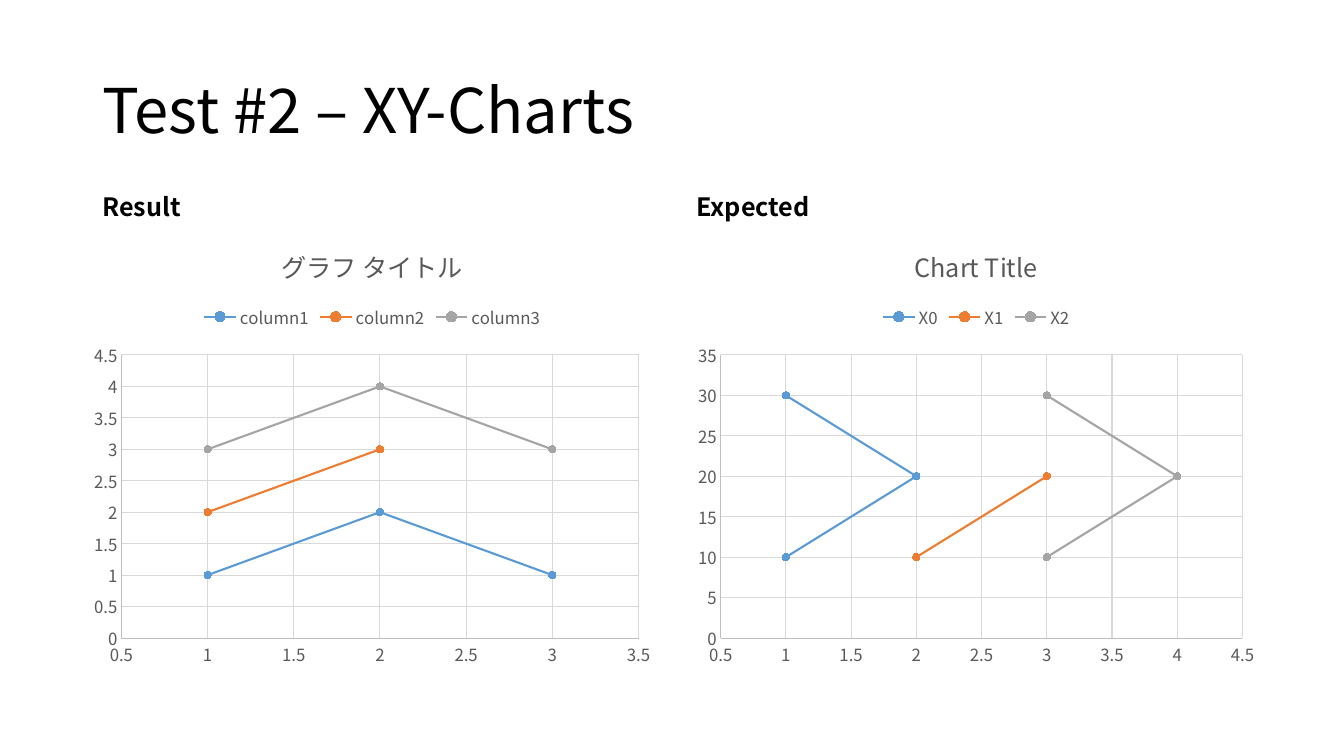
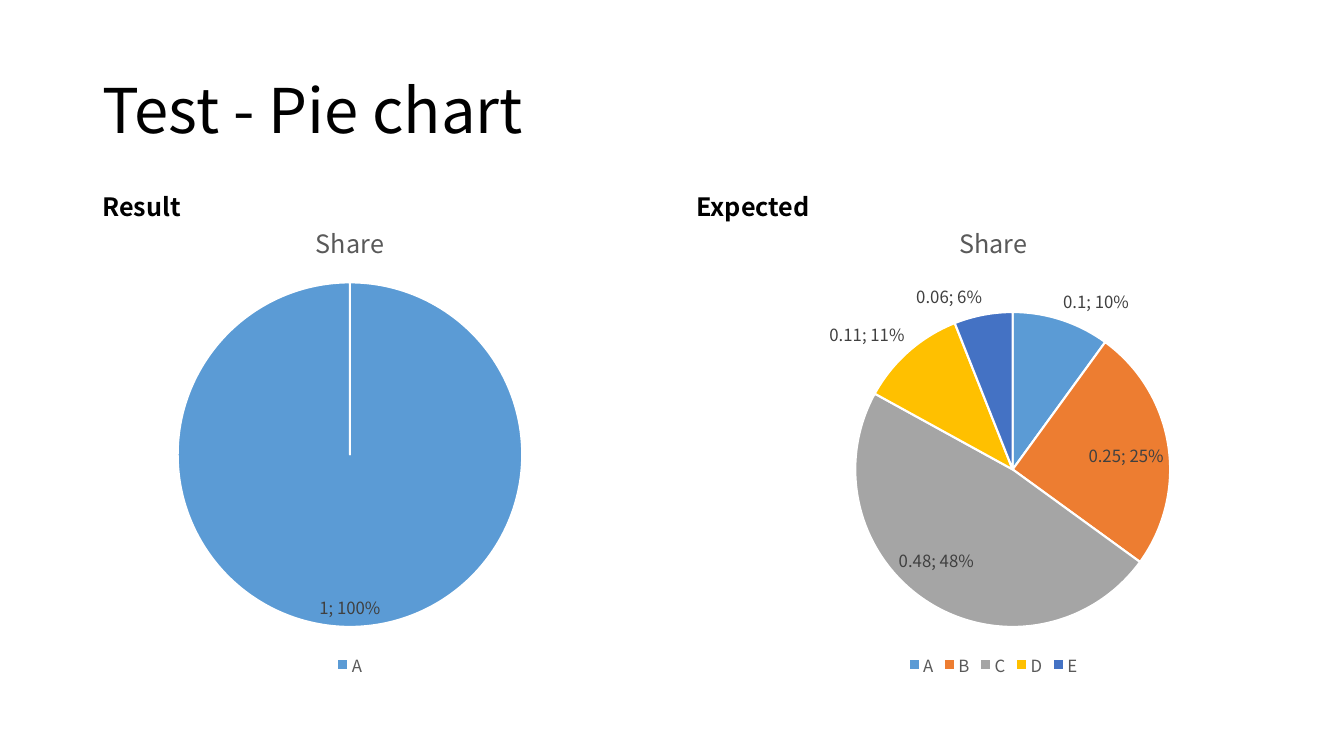
from lxml import etree
from pptx import Presentation
from pptx.chart.data import CategoryChartData, XyChartData
from pptx.dml.color import RGBColor
from pptx.enum.chart import (XL_CHART_TYPE, XL_LABEL_POSITION, XL_LEGEND_POSITION,
                             XL_MARKER_STYLE, XL_TICK_MARK)
from pptx.enum.text import MSO_ANCHOR, MSO_AUTO_SIZE, PP_ALIGN
from pptx.oxml.ns import qn
from pptx.util import Cm, Pt

SCATTER, PIE = XL_CHART_TYPE.XY_SCATTER_LINES, XL_CHART_TYPE.PIE
TOP, BOTTOM = XL_LEGEND_POSITION.TOP, XL_LEGEND_POSITION.BOTTOM
BEST_FIT = XL_LABEL_POSITION.BEST_FIT
CIRCLE = XL_MARKER_STYLE.CIRCLE
NO_TICK = XL_TICK_MARK.NONE
LEFT, MIDDLE = PP_ALIGN.LEFT, MSO_ANCHOR.MIDDLE
NO_FIT, GROW = MSO_AUTO_SIZE.NONE, MSO_AUTO_SIZE.SHAPE_TO_FIT_TEXT
TITLE_ONLY = 5

THEME = {
    "font": "Noto Sans CJK JP",
    "accents": ["5B9BD5", "ED7D31", "A5A5A5", "FFC000", "4472C4"],
    "axis": "BFBFBF",
    "grid": "D9D9D9",
    "edge": "FFFFFF",
    "title": {"size": 44, "color": "000000", "bold": False},
    "heading": {"size": 18, "color": "000000", "bold": True},
    "chart": {"size": 10, "color": "000000"},
    "chart_title": {"size": 18, "color": "595959", "bold": False},
    "chart_text": {"size": 12, "color": "595959"},
    "label": {"size": 12, "color": "404040"},
}

HEADINGS = [("Result", 2.33, 2.51), ("Expected", 17.3, 3.4)]

# Scatter series hold (x, y) points; pie charts hold one share per category.
# Axis scales are (minimum, maximum, step).
PAGES = [
    {"title": "Test #2 – XY-Charts", "kind": SCATTER, "legend": TOP,
     "lefts": [2.08, 17.3], "top": 5.71, "size": (14.6, 11.33),
     "charts": [
         {"title": "グラフ タイトル", "scales": [(0.5, 3.5, 0.5), (0, 4.5, 0.5)],
          "data": {"column1": [(1, 1), (2, 2), (3, 1)],
                   "column2": [(1, 2), (2, 3)],
                   "column3": [(1, 3), (2, 4), (3, 3)]}},
         {"title": "Chart Title", "scales": [(0.5, 4.5, 0.5), (0, 35, 5)],
          "data": {"X0": [(1, 10), (2, 20), (1, 30)],
                   "X1": [(2, 10), (3, 20)],
                   "X2": [(3, 10), (4, 20), (3, 30)]}},
     ]},
    {"title": "Test - Pie chart", "kind": PIE, "legend": BOTTOM,
     "lefts": [2.33, 18.54], "top": 5.08, "size": (12.98, 12.09),
     "charts": [
         {"title": "Share", "data": {"A": 1}},
         {"title": "Share",
          "data": {"A": 0.1, "B": 0.25, "C": 0.48, "D": 0.11, "E": 0.06}},
     ]},
]


def style_font(font, role):
    values = dict(THEME[role], name=THEME["font"])
    values["size"] = Pt(values["size"])
    font.color.rgb = RGBColor.from_string(values.pop("color"))
    for name, value in values.items():
        setattr(font, name, value)


def style_line(line, color, width):
    line.color.rgb = RGBColor.from_string(color)
    line.width = Pt(width)


deck = Presentation()
deck.slide_width, deck.slide_height = Cm(33.87), Cm(19.05)

for content in PAGES:
    page = deck.slides.add_slide(deck.slide_layouts[TITLE_ONLY])
    title = page.shapes.title
    place = {"left": 2.33, "top": 1.02, "width": 29.21, "height": 3.68}
    for name, value in place.items():
        setattr(title, name, Cm(value))
    frame = title.text_frame
    frame.text = content["title"]
    frame.vertical_anchor, frame.auto_size = MIDDLE, NO_FIT
    para = frame.paragraphs[0]
    para.alignment, para.line_spacing = LEFT, 0.9
    style_font(para.runs[0].font, "title")

    for text, left, width in HEADINGS:
        box = page.shapes.add_textbox(Cm(left), Cm(4.7), Cm(width), Cm(1.02))
        box.text_frame.text = text
        box.text_frame.word_wrap, box.text_frame.auto_size = False, GROW
        style_font(box.text_frame.paragraphs[0].runs[0].font, "heading")

    is_pie = content["kind"] == PIE
    width, height = content["size"]
    for left, details in zip(content["lefts"], content["charts"]):
        if is_pie:
            data = CategoryChartData()
            data.categories = list(details["data"])
            data.add_series("Series 1", list(details["data"].values()))
        else:
            data = XyChartData()
            for name, points in details["data"].items():
                series = data.add_series(name)
                for x, y in points:
                    series.add_data_point(x, y)
        chart = page.shapes.add_chart(content["kind"], Cm(left), Cm(content["top"]),
                                      Cm(width), Cm(height), data).chart
        style_font(chart.font, "chart")
        chart.has_title = True
        chart.chart_title.include_in_layout = False
        chart.chart_title.text_frame.text = details["title"]
        span = chart.chart_title.text_frame.paragraphs[0].runs[0]
        style_font(span.font, "chart_title")
        etree.SubElement(span._r.get_or_add_rPr(), qn("a:ea"), typeface=THEME["font"])
        chart.has_legend = True
        chart.legend.position = content["legend"]
        chart.legend.include_in_layout = False
        style_font(chart.legend.font, "chart_text")
        plot = chart.plots[0]
        plot.vary_by_categories = is_pie

        if is_pie:
            for index, color in enumerate(THEME["accents"][:len(details["data"])]):
                slice_format = plot.series[0].points[index].format
                slice_format.fill.solid()
                slice_format.fill.fore_color.rgb = RGBColor.from_string(color)
                style_line(slice_format.line, THEME["edge"], 1.5)
            labels = plot.series[0].data_labels
            labels.show_value = labels.show_percentage = True
            labels.position = BEST_FIT
            style_font(labels.font, "label")
            separator = etree.Element(qn("c:separator"))
            separator.text = "; "
            labels._element.find(qn("c:showBubbleSize")).addnext(separator)
            continue

        for series, color in zip(plot.series, THEME["accents"]):
            series.smooth = False
            style_line(series.format.line, color, 1.5)
            series.marker.style, series.marker.size = CIRCLE, 5
            series.marker.format.fill.solid()
            series.marker.format.fill.fore_color.rgb = RGBColor.from_string(color)
            style_line(series.marker.format.line, color, 0.75)
        for axis, scale in zip((chart.category_axis, chart.value_axis), details["scales"]):
            axis.minimum_scale, axis.maximum_scale, axis.major_unit = scale
            axis.major_tick_mark = axis.minor_tick_mark = NO_TICK
            axis.has_major_gridlines = True
            style_line(axis.major_gridlines.format.line, THEME["grid"], 0.75)
            style_line(axis.format.line, THEME["axis"], 0.75)
            style_font(axis.tick_labels.font, "chart_text")

deck.save("out.pptx")
